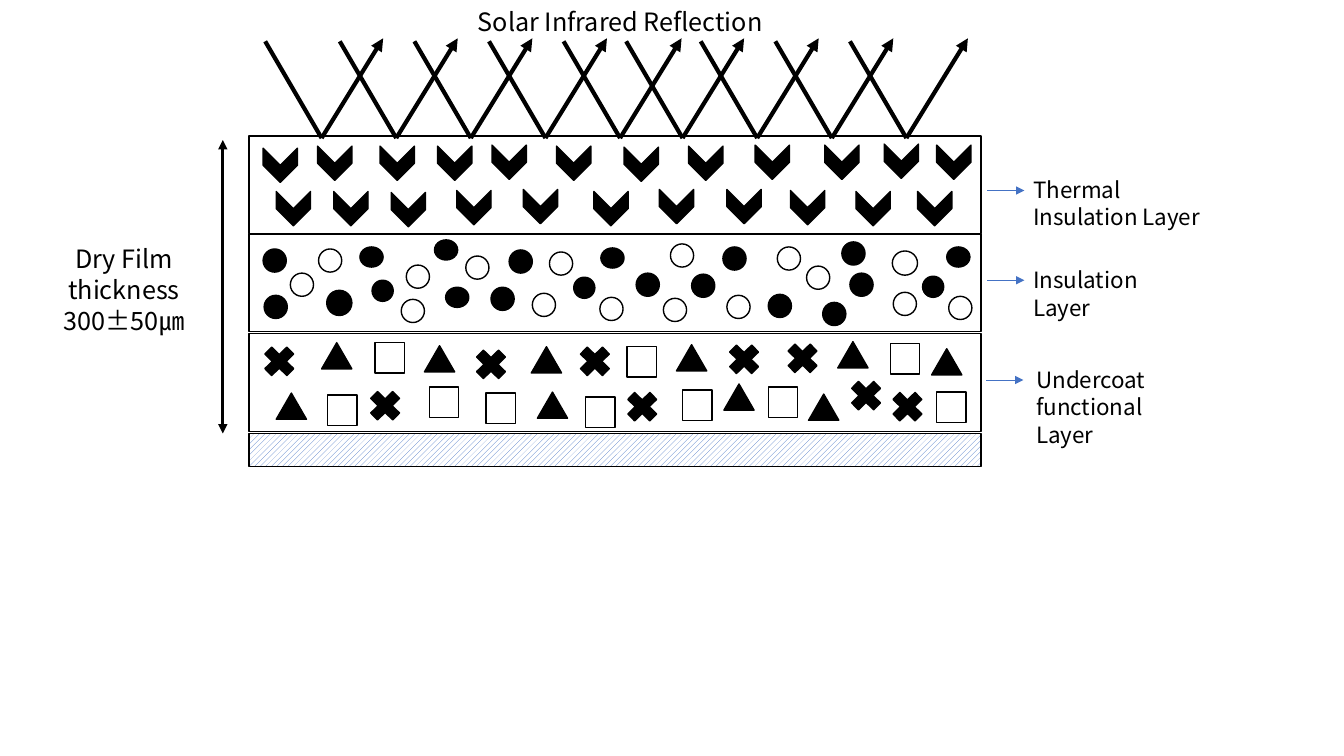
from lxml import etree
from pptx import Presentation
from pptx.dml.color import RGBColor
from pptx.enum.dml import MSO_PATTERN
from pptx.enum.shapes import MSO_CONNECTOR, MSO_SHAPE
from pptx.enum.text import MSO_ANCHOR, MSO_AUTO_SIZE, PP_ALIGN
from pptx.oxml.ns import qn
from pptx.util import Inches, Pt

STRAIGHT = MSO_CONNECTOR.STRAIGHT
RECT, OVAL, CHEVRON = MSO_SHAPE.RECTANGLE, MSO_SHAPE.OVAL, MSO_SHAPE.CHEVRON
TRIANGLE, CROSS = MSO_SHAPE.ISOSCELES_TRIANGLE, MSO_SHAPE.MATH_MULTIPLY
HATCH = MSO_PATTERN.WIDE_UPWARD_DIAGONAL
TOP, GROW = MSO_ANCHOR.TOP, MSO_AUTO_SIZE.SHAPE_TO_FIT_TEXT
LEFT, CENTER = PP_ALIGN.LEFT, PP_ALIGN.CENTER

THEME = {
    "black": RGBColor(0, 0, 0),
    "white": RGBColor(255, 255, 255),
    "blue": RGBColor(0x44, 0x72, 0xC4),
    "font": "Noto Sans CJK KR",
    "large": 18,
    "label": 16,
}


def add_line(x1, y1, x2, y2, color, width, ends=()):
    c = s.shapes.add_connector(STRAIGHT, Inches(x1), Inches(y1), Inches(x2), Inches(y2))
    c.line.color.rgb = THEME[color]
    c.line.width = Pt(width)
    spPr = c._element.spPr
    for end in ends:
        etree.SubElement(spPr.get_or_add_ln(), qn("a:" + end), type="triangle")
    etree.SubElement(spPr, qn("a:effectLst"))


def write(sp, text, size, align):
    tf = sp.text_frame
    tf.word_wrap = True
    tf.auto_size = GROW
    tf.vertical_anchor = TOP
    p = tf.paragraphs[0]
    p.alignment = align
    p.line_spacing = Pt(round(THEME[size] * 1.22, 1))
    r = p.add_run()
    r.text = text
    r.font.name = THEME["font"]
    r.font.size = Pt(THEME[size])
    r.font.color.rgb = THEME["black"]
    etree.SubElement(r._r.get_or_add_rPr(), qn("a:ea"), typeface=THEME["font"])


prs = Presentation()
prs.slide_width, prs.slide_height = Inches(13.33), Inches(7.5)
s = prs.slides.add_slide(prs.slide_layouts[5])

title = s.shapes.title
title.left, title.top = Inches(4.64), Inches(0.01)
title.width, title.height = Inches(3.61), Inches(0.4)
write(title, "Solar Infrared Reflection", "large", LEFT)

shapes = [
    (RECT, 7.26, 0.97, "white", [(2.47, 1.35), (2.47, 2.32), (2.47, 3.31)]),
    (RECT, 7.26, 0.33, "hatch", [(2.47, 4.3)]),
    (CHEVRON, 0.34, 0.34, "black", [
        (2.61, 1.47), (3.15, 1.45), (3.77, 1.45), (4.34, 1.45), (4.88, 1.44), (5.52, 1.45),
        (6.19, 1.46), (6.83, 1.45), (7.49, 1.44), (8.18, 1.44), (8.77, 1.43), (9.29, 1.44),
        (2.74, 1.9), (3.31, 1.9), (3.88, 1.91), (4.53, 1.89), (5.19, 1.88), (5.89, 1.9),
        (6.54, 1.88), (7.21, 1.88), (7.84, 1.89), (8.49, 1.9), (9.1, 1.9)]),
    (OVAL, 0.23, 0.23, "black", [
        (2.61, 2.47), (2.62, 2.93), (4.87, 2.85), (5.05, 2.48), (6.31, 2.71), (6.86, 2.72),
        (7.17, 2.45), (7.62, 2.92), (8.16, 3), (8.35, 2.4), (8.43, 2.71)]),
    (OVAL, 0.25, 0.25, "black", [(3.24, 2.88)]),
    (OVAL, 0.23, 0.2, "black", [
        (3.57, 2.45), (4.31, 2.38), (4.42, 2.85), (5.96, 2.46), (9.39, 2.45)]),
    (OVAL, 0.21, 0.21, "black", [(3.69, 2.78), (5.69, 2.75), (9.15, 2.74)]),
    (OVAL, 0.23, 0.23, "white", [
        (2.88, 2.71), (3.16, 2.47), (3.98, 2.97), (4.03, 2.63), (4.62, 2.54), (5.28, 2.91),
        (5.45, 2.5), (5.95, 2.95), (6.58, 2.96), (6.65, 2.42), (7.21, 2.93), (7.71, 2.45),
        (8, 2.64), (8.86, 2.9), (9.41, 2.94)]),
    (OVAL, 0.25, 0.24, "white", [(8.85, 2.49)]),
    (TRIANGLE, 0.3, 0.26, "black", [
        (3.19, 3.4), (4.21, 3.43), (5.27, 3.44), (6.71, 3.42), (8.31, 3.39), (9.24, 3.46),
        (2.74, 3.9), (5.33, 3.89), (7.18, 3.81), (8.02, 3.91)]),
    (CROSS, 0.42, 0.41, "black", [
        (2.56, 3.38), (4.66, 3.41), (5.69, 3.38), (7.17, 3.36), (7.75, 3.35),
        (3.61, 3.82), (6.16, 3.83), (8.38, 3.72), (8.79, 3.83)]),
    (RECT, 0.29, 0.3, "white", [
        (3.72, 3.4), (6.22, 3.44), (8.83, 3.41), (3.25, 3.92), (4.26, 3.84), (4.82, 3.9),
        (5.81, 3.94), (6.77, 3.87), (7.62, 3.84), (9.29, 3.89)]),
]
for kind, w, h, fill, places in shapes:
    for x, y in places:
        sp = s.shapes.add_shape(kind, Inches(x), Inches(y), Inches(w), Inches(h))
        sp.shadow.inherit = False
        sp.line.color.rgb = THEME["black"]
        sp.line.width = Pt(1)
        if kind == CHEVRON:
            sp.rotation = 90
        if fill == "hatch":
            sp.fill.patterned()
            sp.fill.pattern = HATCH
            sp.fill.fore_color.rgb = THEME["blue"]
            sp.fill.back_color.rgb = THEME["white"]
        else:
            sp.fill.solid()
            sp.fill.fore_color.rgb = THEME[fill]

for first_x, count in [(3.19, 5), (6.77, 4)]:
    for i in range(count):
        x = first_x + i * 0.74
        add_line(x, 1.37, x + 0.61, 0.38, "black", 3, ["tailEnd"])
        add_line(x - 0.56, 0.41, x, 1.37, "black", 3)

add_line(2.21, 1.39, 2.21, 4.3, "black", 2.25, ["headEnd", "tailEnd"])
for x, y in [(9.79, 1.89), (9.79, 2.78), (9.78, 3.77)]:
    add_line(x, y, x + 0.37, y, "blue", 0.5, ["tailEnd"])

labels = [
    ("Dry Film thickness 300±50㎛", 0.32, 2.36, 1.82, 1.01, "large", CENTER),
    ("Thermal Insulation Layer", 10.15, 1.69, 1.96, 0.64, "label", LEFT),
    ("Insulation Layer", 10.15, 2.59, 1.74, 0.64, "label", LEFT),
    ("Undercoat functional Layer", 10.18, 3.58, 1.81, 0.64, "label", LEFT),
]
for text, x, y, w, h, size, align in labels:
    sp = s.shapes.add_textbox(Inches(x), Inches(y), Inches(w), Inches(h))
    write(sp, text, size, align)

prs.save("out.pptx")
